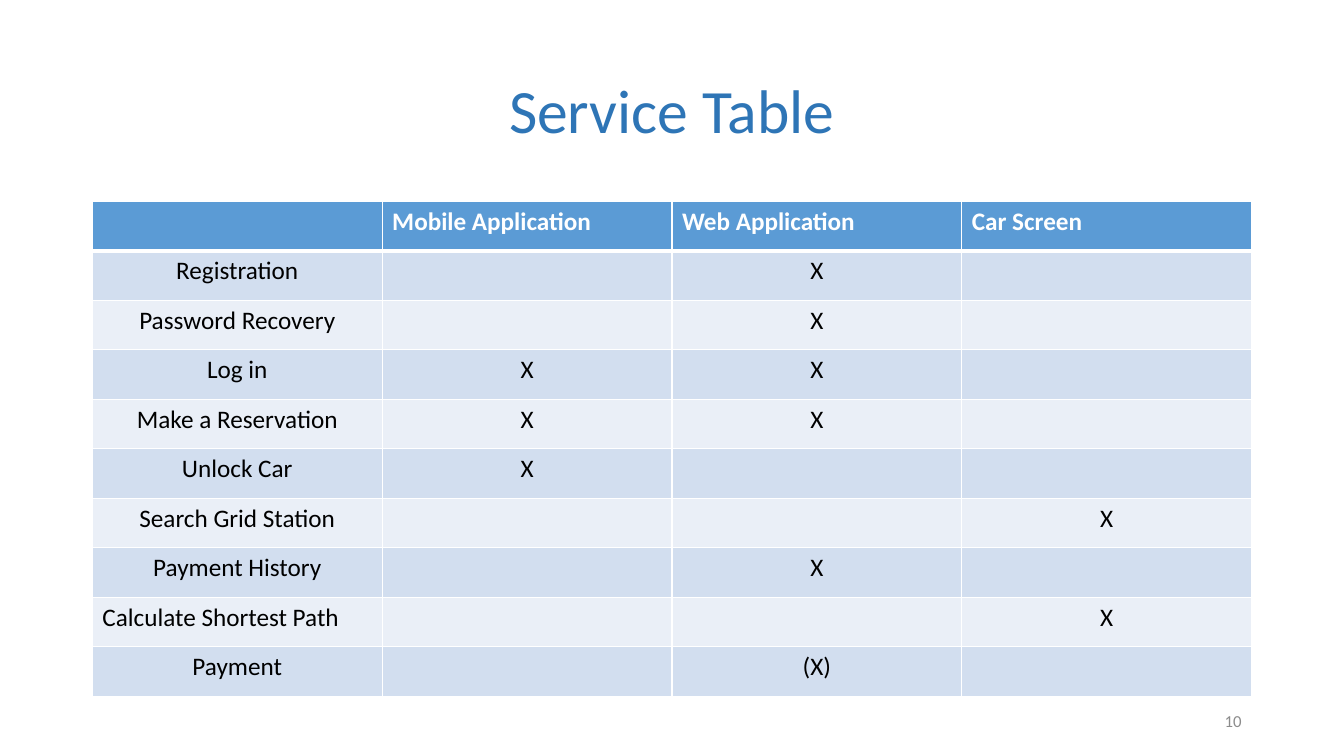
from lxml import etree
from pptx import Presentation
from pptx.dml.color import RGBColor
from pptx.enum.text import MSO_ANCHOR, PP_ALIGN
from pptx.oxml.ns import qn
from pptx.util import Pt

LEFT, CENTER, RIGHT = PP_ALIGN.LEFT, PP_ALIGN.CENTER, PP_ALIGN.RIGHT
MIDDLE = MSO_ANCHOR.MIDDLE
FONT = "Calibri"
COLORS = {
    "title": "2E75B6",
    "header": "5B9BD5",
    "odd": "D2DEEF",
    "even": "EAEFF7",
    "white": "FFFFFF",
    "text": "000000",
    "number": "8C8C8C",
}
SERVICES = [
    ("", "Mobile Application", "Web Application", "Car Screen"),
    ("Registration", "", "X", ""),
    ("Password Recovery", "", "X", ""),
    ("Log in", "X", "X", ""),
    ("Make a Reservation", "X", "X", ""),
    ("Unlock Car", "X", "", ""),
    ("Search Grid Station", "", "", "X"),
    ("Payment History", "", "X", ""),
    ("Calculate Shortest Path", "", "", "X"),
    ("Payment", "", "(X)", ""),
]
LEFT_ALIGNED = {"Calculate Shortest Path"}
MARGIN, CONTENT_WIDTH = 66, 828
ROW_HEIGHT = 35.35


def place(shape, left, top, width, height):
    shape.left, shape.top = Pt(left), Pt(top)
    shape.width, shape.height = Pt(width), Pt(height)


def write(frame, text, size, color, align, bold=False):
    frame.text = text
    paragraph = frame.paragraphs[0]
    paragraph.alignment = align
    fonts = [run.font for run in paragraph.runs] or [paragraph.font]
    for font in fonts:
        font.name, font.size, font.bold = FONT, Pt(size), bold
        font.color.rgb = RGBColor.from_string(COLORS[color])


def add_border(cell, side, width):
    line = etree.SubElement(cell._tc.get_or_add_tcPr(), qn(f"a:{side}"), w=str(Pt(width)))
    fill = etree.SubElement(line, qn("a:solidFill"))
    etree.SubElement(fill, qn("a:srgbClr"), val=COLORS["white"])


def format_cell(cell, text, row):
    is_header = row == 0
    align = LEFT if is_header or text in LEFT_ALIGNED else CENTER
    write(cell.text_frame, text, 18, "white" if is_header else "text", align, is_header)
    for side in ("lnL", "lnR", "lnT", "lnB"):
        is_rule = (row, side) in ((0, "lnB"), (1, "lnT"))
        add_border(cell, side, 3 if is_rule else 1)
    band = "header" if is_header else "odd" if row % 2 else "even"
    cell.fill.solid()
    cell.fill.fore_color.rgb = RGBColor.from_string(COLORS[band])


def add_title(slide, text):
    title = slide.shapes.title
    place(title, MARGIN, 28.75, CONTENT_WIDTH, 104.38)
    write(title.text_frame, text, 44, "title", CENTER)
    title.text_frame.vertical_anchor = MIDDLE
    title.text_frame.paragraphs[0].line_spacing = 0.9


def add_service_table(slide):
    row_count, column_count = len(SERVICES), len(SERVICES[0])
    table = slide.shapes.add_table(
        row_count, column_count, Pt(MARGIN), Pt(143.75),
        Pt(CONTENT_WIDTH), Pt(ROW_HEIGHT * row_count),
    ).table
    for row, service in enumerate(SERVICES):
        table.rows[row].height = Pt(ROW_HEIGHT)
        for column, text in enumerate(service):
            format_cell(table.cell(row, column), text, row)


def add_page_number(slide, number):
    page_number = slide.shapes.add_textbox(Pt(678), Pt(500.5), Pt(216), Pt(28.75))
    page_number.text_frame.word_wrap = True
    page_number.text_frame.vertical_anchor = MIDDLE
    write(page_number.text_frame, number, 12, "number", RIGHT)


def main():
    presentation = Presentation()
    presentation.slide_width, presentation.slide_height = Pt(960), Pt(540)
    slide = presentation.slides.add_slide(presentation.slide_layouts[5])
    add_title(slide, "Service Table")
    add_service_table(slide)
    add_page_number(slide, "10")
    presentation.save("out.pptx")


if __name__ == "__main__":
    main()
